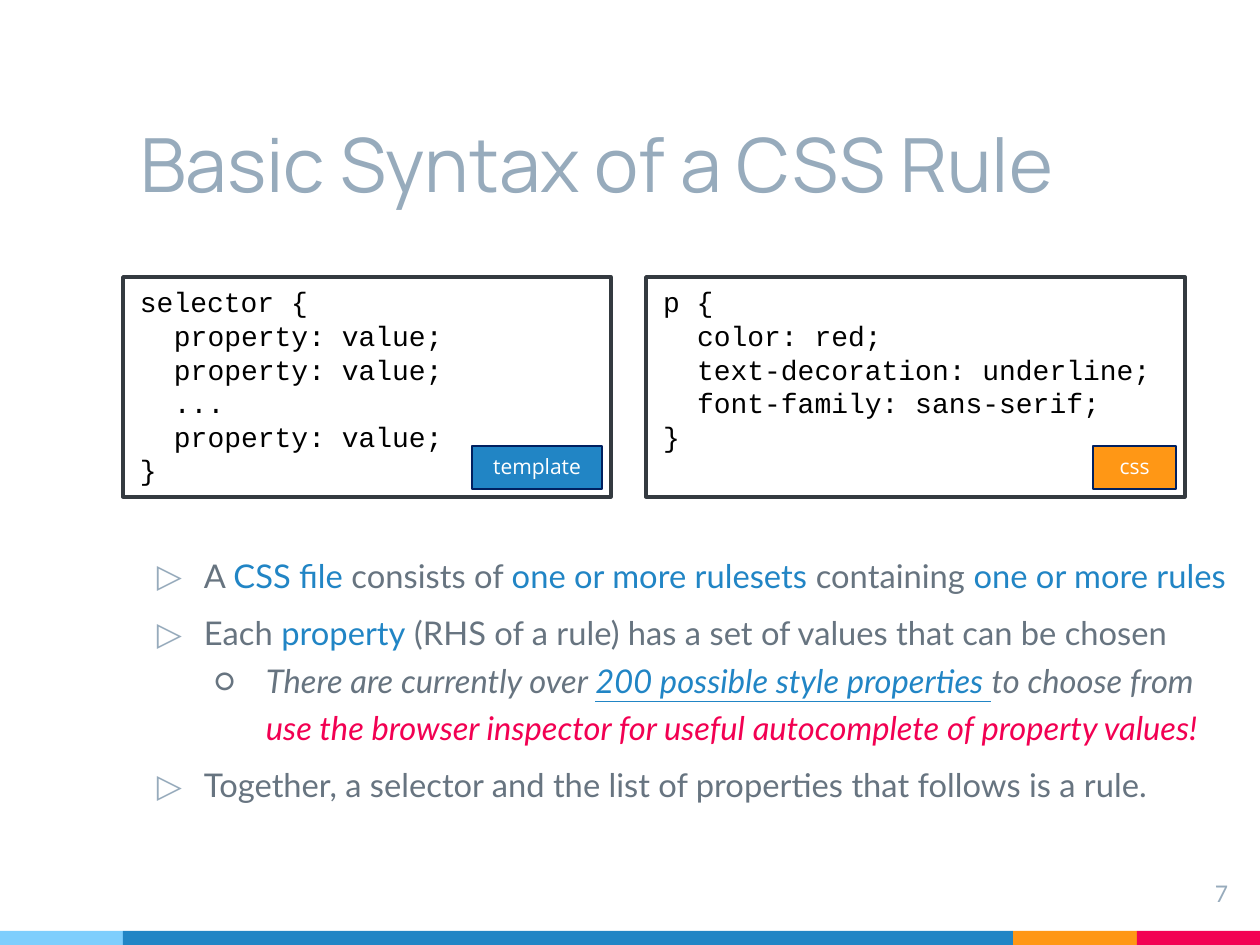
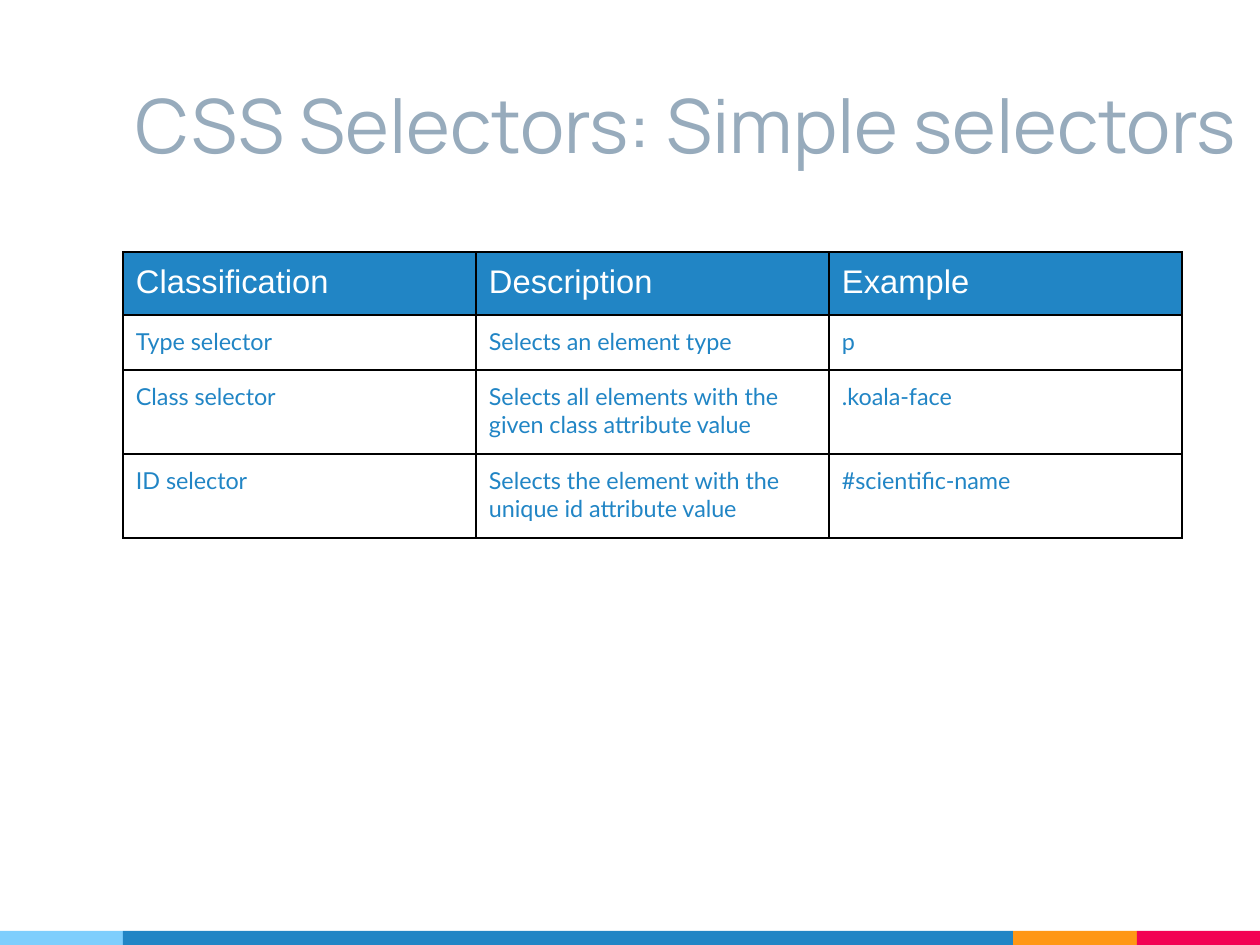
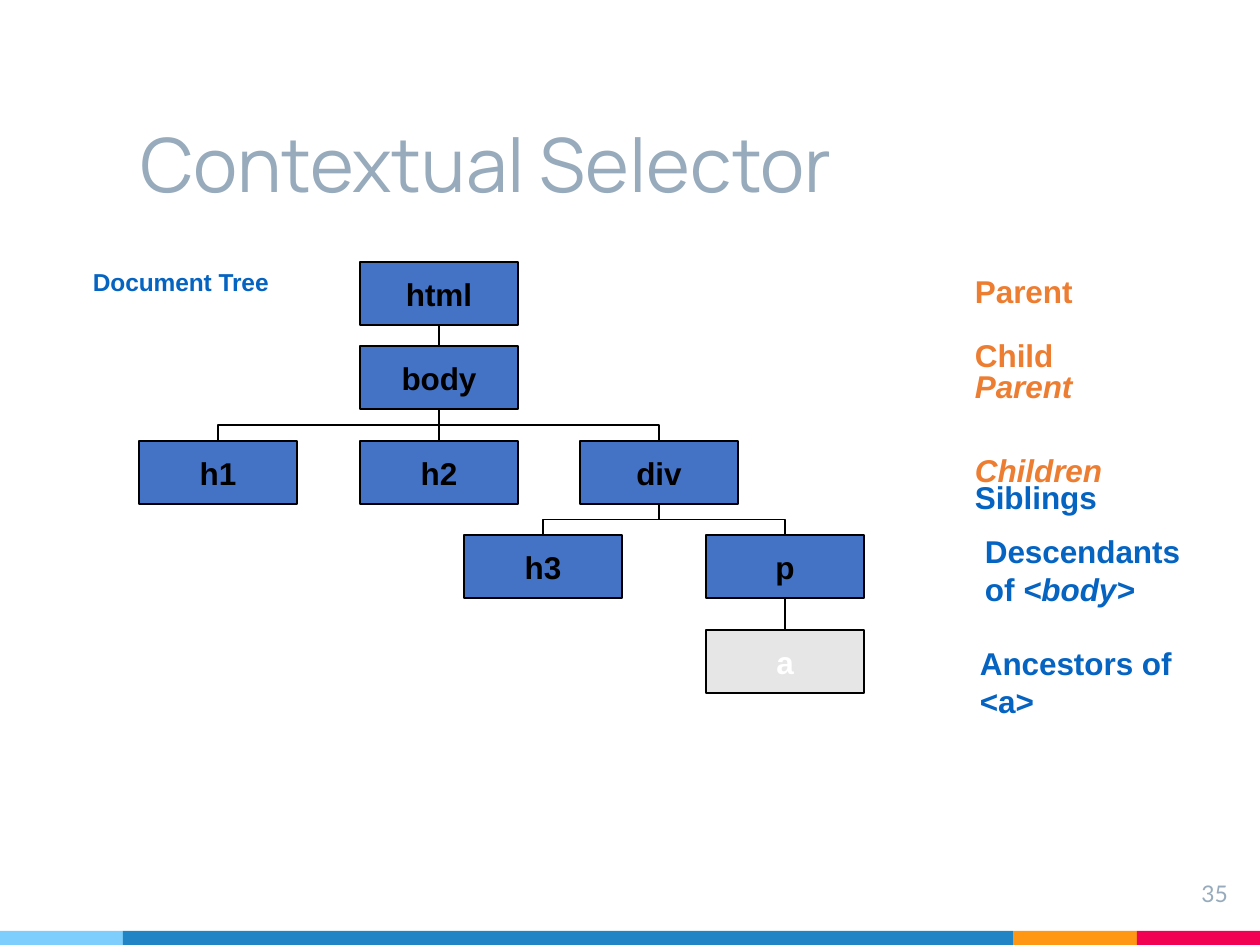
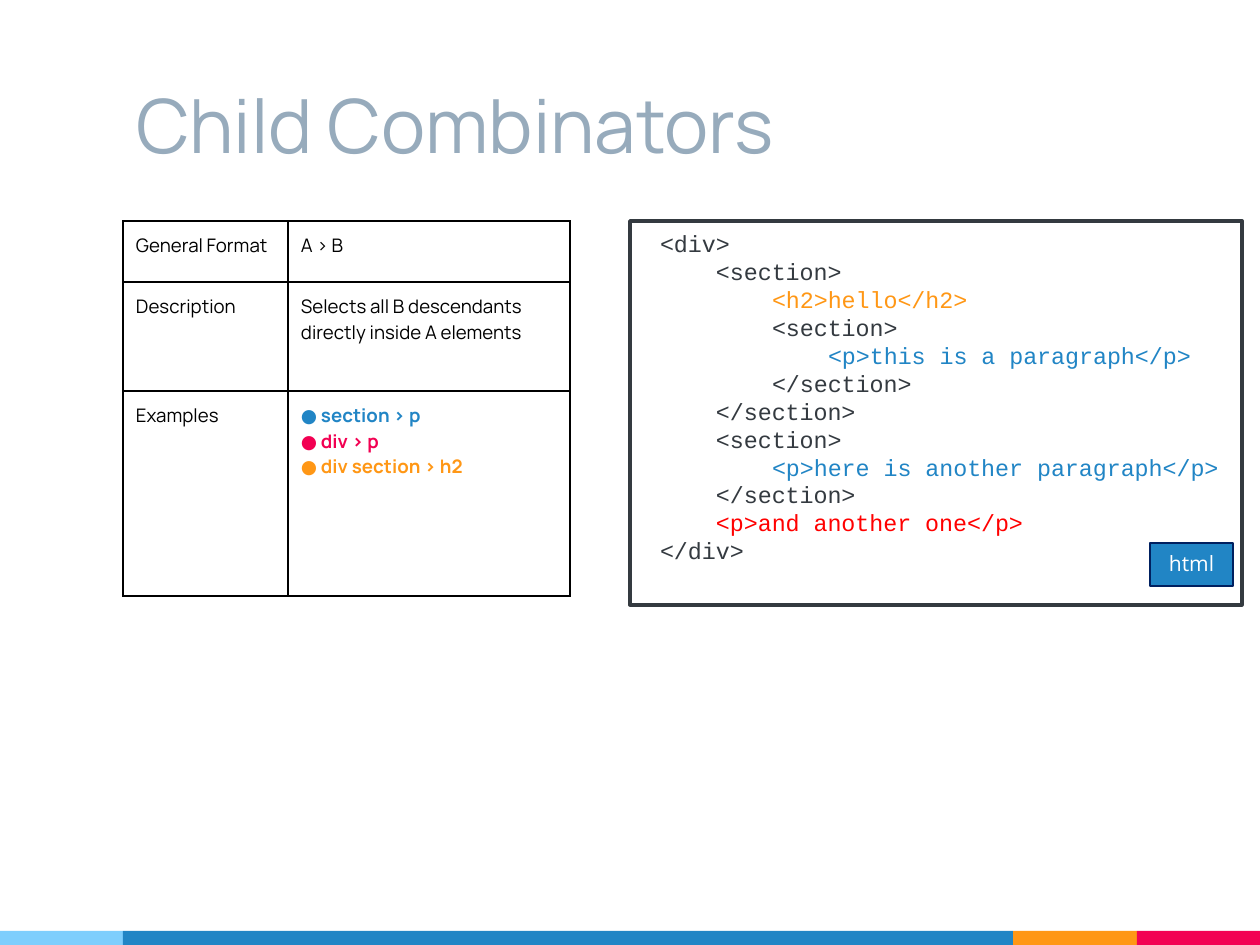
from lxml.etree import SubElement
from pptx import Presentation
from pptx.dml.color import RGBColor as Rgb
from pptx.enum.shapes import MSO_CONNECTOR as Connector, MSO_SHAPE as Preset
from pptx.enum.text import MSO_ANCHOR as Anchor, PP_ALIGN as Align
from pptx.oxml.ns import qn
from pptx.util import Emu, Pt

PX_PER_INCH = 168
PAGE_W, PAGE_H = 1260, 945
LEFT = 123  # shared left edge of titles, tables and code

COLORS = {
    "sky": "7ECEFD", "blue": "2185C5", "orange": "FF9715", "pink": "F20253",
    "rose": "F20052", "mist": "97ABBC", "slate": "677480", "ink": "343A40",
    "navy": "002060", "black": "000000", "white": "FFFFFF", "red": "FF0000",
    "node": "4472C4", "pale": "E7E6E6", "link": "0563C1", "amber": "ED7D31",
}
TITLE = {"name": "Manrope", "size": 32, "color": "mist"}
NUMBER = {"name": "Lato", "size": 9.8, "color": "mist"}
BODY = {"name": "Lato", "size": 14, "color": "slate"}
TAG = {"name": "Open Sans", "size": 9, "color": "white"}
CODE = {"name": "Courier New", "size": 12, "color": "black"}
NODE = {"name": "Arial", "size": 13.5, "color": "black", "bold": True}
HEAD_CELL = {"name": "Arial", "size": 14, "color": "white"}
CELL = {"name": "Lato", "size": 10, "color": "blue"}
SMALL_CELL = {"name": "Manrope", "size": 8, "color": "black"}


def px(length):
    return Emu(round(length * 914400 / PX_PER_INCH))


def rgb(name):
    return Rgb.from_string(COLORS[name])


def set_all(target, values):
    for name, value in values.items():
        setattr(target, name, value)


# Text
def add_spans(para, spans, style):
    """Spans are plain strings or (text, changes to the style)."""
    for item in [spans] if isinstance(spans, str) else spans:
        text, changes = (item, {}) if isinstance(item, str) else item
        look = {**style, **changes}
        span = para.add_run()
        span.text = text
        span.font.color.rgb = rgb(look.pop("color"))
        look["size"] = Pt(look["size"])
        set_all(span.font, look)


def set_frame(frame, anchor=Anchor.TOP, inset=(17, 8), wrap=True):
    across, down = map(px, inset)
    set_all(frame, {
        "word_wrap": wrap, "vertical_anchor": anchor,
        "margin_left": across, "margin_right": across,
        "margin_top": down, "margin_bottom": down,
    })


def next_para(frame, index):
    return frame.add_paragraph() if index else frame.paragraphs[0]


def indent(para, left, first=0):
    props = para._p.get_or_add_pPr()
    props.set("marL", str(px(left)))
    props.set("indent", str(px(first)))
    return props


def bullet(para, font, char, color, left, first):
    props = indent(para, left, first)
    SubElement(SubElement(props, qn("a:buClr")), qn("a:srgbClr")).set("val", COLORS[color])
    SubElement(props, qn("a:buFont")).set("typeface", font)
    SubElement(props, qn("a:buChar")).set("char", char)


def add_text(page, box, spans, style, align=Align.LEFT, leading=None, **frame_values):
    frame = page.shapes.add_textbox(*map(px, box)).text_frame
    set_frame(frame, **frame_values)
    para = frame.paragraphs[0]
    para.alignment = align
    if leading:
        para.line_spacing = Pt(leading)
    add_spans(para, spans, style)


# Shapes
def add_rect(page, box, fill=None, line=None, weight=0.75):
    rect = page.shapes.add_shape(Preset.RECTANGLE, *map(px, box))
    rect.shadow.inherit = False
    if fill:
        rect.fill.solid()
        rect.fill.fore_color.rgb = rgb(fill)
    else:
        rect.fill.background()
    if line:
        rect.line.color.rgb = rgb(line)
        rect.line.width = Pt(weight)
    else:
        rect.line.fill.background()
    return rect


def add_label_rect(page, box, text, style, fill, line, **frame_values):
    rect = add_rect(page, box, fill, line)
    set_frame(rect.text_frame, **frame_values)
    para = rect.text_frame.paragraphs[0]
    para.alignment = Align.CENTER
    add_spans(para, text, style)


# Shared page parts
def add_page(deck, title, number=None, low_title=True, title_width=1045):
    page = deck.slides.add_slide(deck.slide_layouts[6])
    edges = (0, LEFT, 1013, 1137, PAGE_W)
    for start, end, color in zip(edges, edges[1:], ("sky", "blue", "orange", "pink")):
        add_rect(page, (start, 931, end - start, 14), color)
    anchor, inset = (Anchor.BOTTOM, (17, 17)) if low_title else (Anchor.TOP, (13, 13))
    add_text(page, (LEFT, 66, title_width, 158), title, TITLE, anchor=anchor, inset=inset)
    if number:
        add_text(page, (1169, 866, 76, 57), number, NUMBER, Align.RIGHT, inset=(17, 17))
    return page


def add_code(page, box, lines, style, step, tag, tag_width, tag_color, tag_rise, base=0):
    """Lines are (level, text) or (level, text, color); the tag sits bottom right."""
    left, top, width, height = box
    rect = add_rect(page, box, line="ink", weight=1.5)
    frame = rect.text_frame
    set_frame(frame)
    for index, (level, text, *color) in enumerate(lines):
        para = next_para(frame, index)
        set_all(para, {"alignment": Align.LEFT, "line_spacing": Pt(style["size"] * 1.2)})
        indent(para, base + level * step)
        add_spans(para, text, {**style, "color": color[0]} if color else style)
    tag_box = (left + width - 9 - tag_width, top + height - tag_rise, tag_width, 43)
    add_label_rect(page, tag_box, tag, TAG, tag_color, "navy")


# Tables
def set_borders(cell):
    props = cell._tc.get_or_add_tcPr()
    for place, side in enumerate(("lnL", "lnR", "lnT", "lnB")):
        line = SubElement(props, qn("a:" + side), w=str(Pt(0.75)))
        fill = SubElement(line, qn("a:solidFill"))
        SubElement(fill, qn("a:srgbClr"), val=COLORS["black"])
        props.insert(place, line)


def add_grid(page, left, top, widths, heights, rows, style, head_style=None):
    """A cell is a string or a list of (text, color) bullets."""
    box = (left, top, sum(widths), sum(heights))
    table = page.shapes.add_table(len(rows), len(widths), *map(px, box)).table
    set_all(table, {"first_row": False, "horz_banding": False})
    for column, width in zip(table.columns, widths):
        column.width = px(width)
    for index, (row, height, values) in enumerate(zip(table.rows, heights, rows)):
        row.height = px(height)
        is_head = head_style and index == 0
        for cell, value in zip(row.cells, values):
            set_all(cell, {"margin_left": px(13), "margin_right": px(13),
                           "margin_top": px(12), "margin_bottom": px(12)})
            if is_head:
                cell.fill.solid()
                cell.fill.fore_color.rgb = rgb("blue")
            else:
                cell.fill.background()
            set_borders(cell)
            if isinstance(value, str):
                add_spans(cell.text_frame.paragraphs[0], value, head_style if is_head else style)
                continue
            for place, (text, color) in enumerate(value):
                para = next_para(cell.text_frame, place)
                bullet(para, style["name"], "●", color, 20, -27)
                add_spans(para, text, {**style, "color": color, "bold": True})


# Tree
def add_branch(page, start, end):
    """Join two points downwards, with a bend halfway if they are not aligned."""
    (x1, y1), (x2, y2) = start, end
    if x1 == x2:
        kind, points = Connector.STRAIGHT, (x1, y1, x2, y2)
    else:
        mid_x, mid_y = (x1 + x2) / 2, (y1 + y2) / 2
        half_w, half_h = (y2 - y1) / 2, abs(x2 - x1) / 2
        kind = Connector.ELBOW
        points = (mid_x - half_w, mid_y - half_h, mid_x + half_w, mid_y + half_h)
    branch = page.shapes.add_connector(kind, *map(px, points))
    branch.line.color.rgb = rgb("black")
    branch.line.width = Pt(0.75)
    props = branch._element.spPr
    SubElement(props, qn("a:effectLst"))
    if x1 != x2:
        frame = props.find(qn("a:xfrm"))
        frame.set("rot", str((90 if x2 < x1 else 270) * 60000))
        if x2 > x1:
            frame.set("flipH", "1")


def add_tree(page, left, top):
    width, height = 158, 63
    # name: x, y, parent
    nodes = {
        "html": (221, 0, None), "body": (221, 84, "html"),
        "h1": (0, 179, "body"), "h2": (221, 179, "body"), "div": (441, 179, "body"),
        "h3": (325, 273, "div"), "p": (567, 273, "div"), "a": (567, 368, "p"),
    }
    for x, y, parent in nodes.values():
        if parent:
            parent_x, parent_y, _ = nodes[parent]
            add_branch(page, (left + parent_x + width // 2, top + parent_y + height),
                       (left + x + width // 2, top + y))
    for name, (x, y, _) in nodes.items():
        fill, color = ("pale", "white") if name == "a" else ("node", "black")
        add_label_rect(page, (left + x, top + y, width, height), name,
                       {**NODE, "color": color}, fill, "black",
                       anchor=Anchor.MIDDLE, wrap=False)


# Pages
def syntax_page(deck):
    page = add_page(deck, "Basic Syntax of a CSS Rule", "7")
    blue = {"color": "blue"}
    points = [
        (0, ["A ", ("CSS file ", blue), "consists of ", ("one or more rulesets ", blue),
             "containing ", ("one or more rules", blue)]),
        (0, ["Each ", ("property", blue), " (RHS of a rule) has a set of values that can be chosen"]),
        (1, ["There are currently over ",
             ("200 possible style properties ", {**blue, "underline": True}),
             "to choose from ",
             ("use the browser inspector for useful autocomplete of property values!",
              {"color": "rose"})]),
        (0, ["Together, a selector and the list of properties that follows is a rule."]),
    ]
    levels = [("▷", "mist", 64, -47), ("○", "slate", 126, -52)]
    frame = page.shapes.add_textbox(*map(px, (LEFT, 531, 1124, 373))).text_frame
    set_frame(frame, inset=(17, 17))
    for index, (level, spans) in enumerate(points):
        para = next_para(frame, index)
        set_all(para, {"level": level, "line_spacing": 1.2,
                       "space_before": Pt(0 if level else 4.5)})
        bullet(para, BODY["name"], *levels[level])
        add_spans(para, spans, {**BODY, "italic": bool(level)})

    value = (1, "property: value;")
    add_code(page, (LEFT, 277, 488, 220),
             [(0, "selector {"), value, value, (1, "..."), value, (0, "}")],
             CODE, 34, "template", 130, "blue", 51)
    add_code(page, (646, 277, 539, 220),
             [(0, "p {"), (1, "color: red;"), (1, "text-decoration: underline;"),
              (1, "font-family: sans-serif;"), (0, "}")],
             CODE, 34, "css", 83, "orange", 51)


def selectors_page(deck):
    page = add_page(deck, "CSS Selectors: Simple selectors", low_title=False, title_width=1137)
    add_grid(page, LEFT, 252, [353] * 3, [55, 55, 84, 84], [
        ("Classification", "Description", "Example"),
        ("Type selector", "Selects an element type", "p"),
        ("Class selector", "Selects all elements with the given class attribute value",
         ".koala-face"),
        ("ID selector", "Selects the element with the unique id attribute value",
         "#scientific-name"),
    ], CELL, HEAD_CELL)


def tree_page(deck):
    page = add_page(deck, "Contextual Selector", "35")
    add_text(page, (76, 259, 284, 47), "Document Tree",
             {**NODE, "size": 10.5, "color": "link"}, leading=12.6)
    add_tree(page, 139, 262)
    italic = {"italic": True}
    labels = [
        (958, 264, 158, 55, "amber", "Parent"),
        (958, 328, 126, 55, "amber", "Child"),
        (958, 359, 136, 55, "amber", [("Parent", italic)]),
        (958, 443, 188, 55, "amber", [("Children", italic)]),
        (958, 470, 200, 55, "link", "Siblings"),
        (968, 524, 252, 94, "link", ["Descendants of ", ("<body>", italic)]),
        (963, 636, 284, 94, "link", "Ancestors of <a>"),
    ]
    for *box, color, spans in labels:
        add_text(page, box, spans, {**NODE, "color": color}, leading=16.2)


def combinators_page(deck):
    page = add_page(deck, "Child Combinators", low_title=False)
    add_grid(page, LEFT, 221, [165, 282], [61, 109, 205], [
        ("General Format", "A > B"),
        ("Description", "Selects all B descendants directly inside A elements"),
        ("Examples", [("section > p", "blue"), ("div > p", "rose"),
                      ("div section > h2", "orange")]),
    ], SMALL_CELL)
    add_code(page, (630, 221, 612, 384), [
        (0, "<div>"),
        (1, "<section>"),
        (2, "<h2>hello</h2>", "orange"),
        (2, "<section>"),
        (3, "<p>this is a paragraph</p>", "blue"),
        (2, "</section>"),
        (1, "</section>"),
        (1, "<section>"),
        (2, "<p>here is another paragraph</p>", "blue"),
        (1, "</section>"),
        (1, "<p>and another one</p>", "red"),
        (0, "</div>"),
    ], {**CODE, "size": 10, "color": "ink"}, 56, "html", 83, "blue", 62, base=13)


def main():
    deck = Presentation()
    set_all(deck, {"slide_width": px(PAGE_W), "slide_height": px(PAGE_H)})
    for build in (syntax_page, selectors_page, tree_page, combinators_page):
        build(deck)
    deck.save("out.pptx")


if __name__ == "__main__":
    main()
